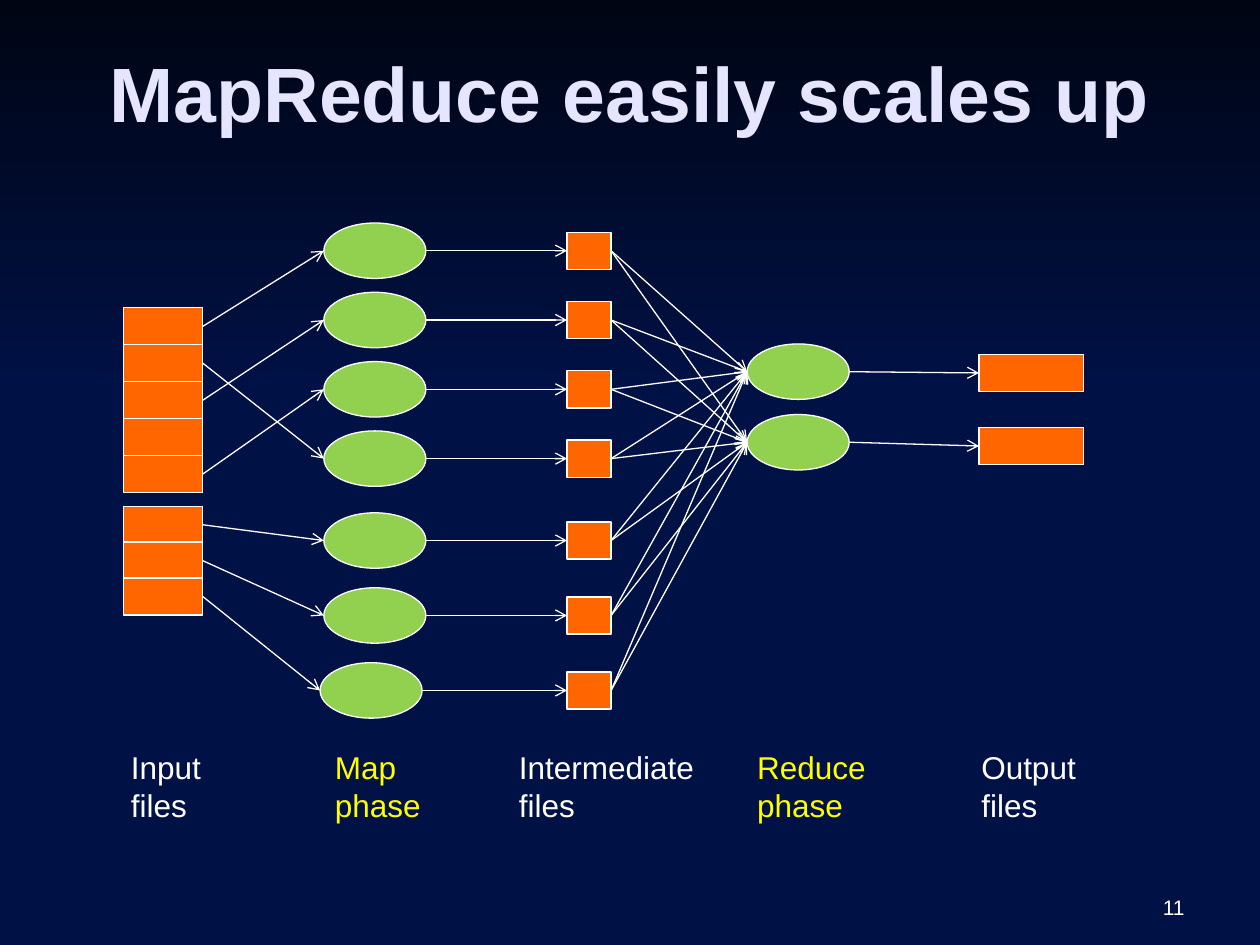
from dataclasses import dataclass

from lxml import etree
from pptx import Presentation
from pptx import util as u
from pptx.dml.color import RGBColor
from pptx.enum import shapes, text
from pptx.oxml.ns import qn

COLS, ROWS = 100, 75
CELL = u.Inches(0.1)


@dataclass(frozen=True)
class Theme:
    """Colours, font and type sizes of the deck."""
    font: str = "Arial"
    back: str = "001145"
    top: str = "000514"
    heading: str = "E5E5FF"
    plain: str = "FFFFFF"
    phase: str = "FFFF00"
    file: str = "FF6600"
    worker: str = "92D050"
    title_size: int = 44
    label_size: int = 18
    number_size: int = 12
    line: float = 0.75


THEME = Theme()


def grid(*cells):
    """Turn grid cells into slide lengths."""
    return [round(c * CELL) for c in cells]


def rgb(value):
    """Return a colour from its hex value."""
    return RGBColor.from_string(value)


def write(sp, content, size, color=THEME.plain, bold=False,
          align=text.PP_ALIGN.LEFT, anchor=text.MSO_ANCHOR.TOP):
    """Fill a shape with formatted text, one paragraph a line."""
    tf = sp.text_frame
    tf.word_wrap = True
    tf.vertical_anchor = anchor
    tf.text = content
    for p in tf.paragraphs:
        p.alignment = align
        font = p.runs[0].font
        font.name, font.size, font.bold = THEME.font, u.Pt(size), bold
        font.color.rgb = rgb(color)


def add_label(slide, box, content, size, **style):
    """Add a text box on the grid."""
    write(slide.shapes.add_textbox(*grid(*box)), content, size, **style)


def add_node(slide, kind, left, middle, width, height, color):
    """Add an outlined shape placed by its left edge and vertical middle."""
    sp = slide.shapes.add_shape(
        kind, *grid(left, middle - height / 2, width, height))
    sp.shadow.inherit = False
    sp.fill.solid()
    sp.fill.fore_color.rgb = rgb(color)
    sp.line.color.rgb = rgb(THEME.plain)
    sp.line.width = u.Pt(THEME.line)
    return sp


def add_file(slide, left, middle, width, height=2.95):
    """Add a file rectangle."""
    return add_node(slide, shapes.MSO_SHAPE.RECTANGLE, left, middle, width,
                    height, THEME.file)


def add_worker(slide, left, middle):
    """Add a map or reduce worker ellipse."""
    return add_node(slide, shapes.MSO_SHAPE.OVAL, left, middle, 8.1, 4.4,
                    THEME.worker)


def add_arrow(slide, source, target):
    """Draw an arrow from a right side to a left side, joined to rectangles."""
    line = slide.shapes.add_connector(
        shapes.MSO_CONNECTOR.STRAIGHT,
        source.left + source.width, source.top + source.height // 2,
        target.left, target.top + target.height // 2)
    if source.auto_shape_type == shapes.MSO_SHAPE.RECTANGLE:
        line.begin_connect(source, 3)
    if target.auto_shape_type == shapes.MSO_SHAPE.RECTANGLE:
        line.end_connect(target, 1)
    line.line.color.rgb = rgb(THEME.plain)
    line.line.width = u.Pt(THEME.line)
    etree.SubElement(line.line._get_or_add_ln(), qn("a:tailEnd"), type="arrow")
    etree.SubElement(line._element.spPr, qn("a:effectLst"))


def add_background(slide):
    """Paint the slide and the gradient band across its top."""
    fill = slide.background.fill
    fill.solid()
    fill.fore_color.rgb = rgb(THEME.back)
    sp = slide.shapes.add_shape(
        shapes.MSO_SHAPE.RECTANGLE, *grid(0, 0, COLS, 30.8))
    sp.shadow.inherit = False
    sp.line.fill.background()
    sp.fill.gradient()
    sp.fill.gradient_angle = 270
    for stop, color, position in zip(
            sp.fill.gradient_stops, (THEME.top, THEME.back), (0, 1)):
        stop.color.rgb = rgb(color)
        stop.position = position
    slide.shapes._spTree.insert(2, sp._element)


def add_title(slide, content):
    """Place and format the title placeholder."""
    title = slide.shapes.title
    title.left, title.top, title.width, title.height = grid(5, 2.2, 90, 10.1)
    write(title, content, THEME.title_size, color=THEME.heading, bold=True,
          align=text.PP_ALIGN.CENTER, anchor=text.MSO_ANCHOR.MIDDLE)


def add_flow(slide):
    """Draw input files, mappers, intermediate files, reducers and outputs."""
    lanes = [19.9 + 5.5 * i for i in range(4)] + [42.9 + 5.95 * i for i in range(3)]
    splits = [25.9 + 2.93 * i for i in range(5)] + [41.65 + 2.85 * i for i in range(3)]
    inputs = [add_file(slide, 9.8, y, 6.3) for y in splits]
    mappers = [add_worker(slide, 25.7, y) for y in lanes[:-1]]
    mappers.append(add_worker(slide, 25.4, lanes[-1]))
    middles = [add_file(slide, 45, y, 3.5) for y in lanes]
    reducers = [add_worker(slide, 59.3, y) for y in (29.5, 35.1)]
    outputs = [add_file(slide, 77.7, y, 8.3) for y in (29.6, 35.4)]

    assigned = {0: 0, 1: 3, 2: 1, 4: 2, 5: 4, 6: 5, 7: 6}
    links = [(inputs[i], mappers[m]) for i, m in assigned.items()]
    links += zip(mappers, middles)
    links += [(f, r) for r in reducers for f in middles]
    links += zip(reducers, outputs)
    for source, target in links:
        add_arrow(slide, source, target)


def main():
    """Build the slide and save it."""
    prs = Presentation()
    prs.slide_width, prs.slide_height = grid(COLS, ROWS)
    slide = prs.slides.add_slide(prs.slide_layouts[5])
    add_background(slide)
    add_title(slide, "MapReduce easily scales up")
    add_flow(slide)
    for left, width, content, color in (
            (9.4, 7.9, "Input files", THEME.plain),
            (25.6, 9.2, "Map phase", THEME.phase),
            (40.2, 16.8, "Intermediate\nfiles", THEME.plain),
            (59.1, 11.8, "Reduce phase", THEME.phase),
            (76.9, 11, "Output files", THEME.plain)):
        add_label(slide, (left, 58.9, width, 7), content, THEME.label_size,
                  color=color)
    add_label(slide, (71.7, 68.3, 23.3, 5.2), "11", THEME.number_size,
              align=text.PP_ALIGN.RIGHT, anchor=text.MSO_ANCHOR.BOTTOM)
    prs.save("out.pptx")


if __name__ == "__main__":
    main()
